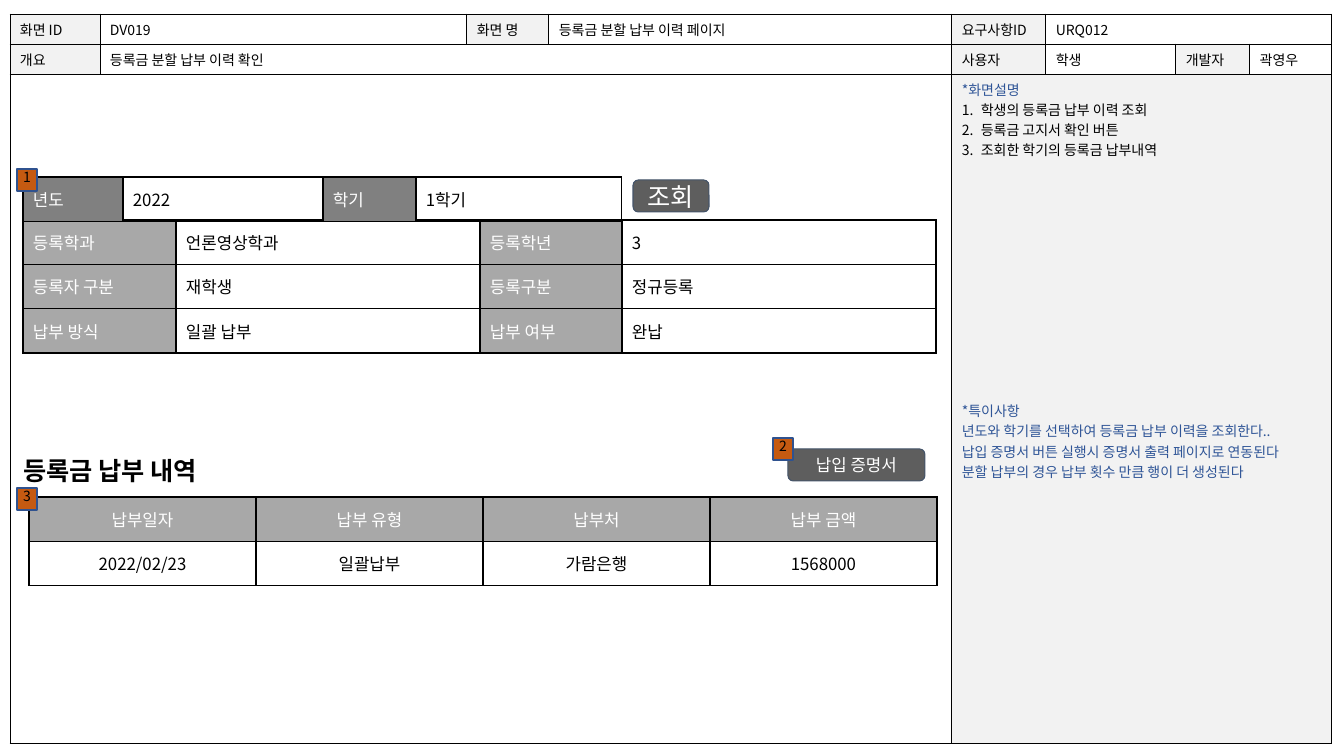
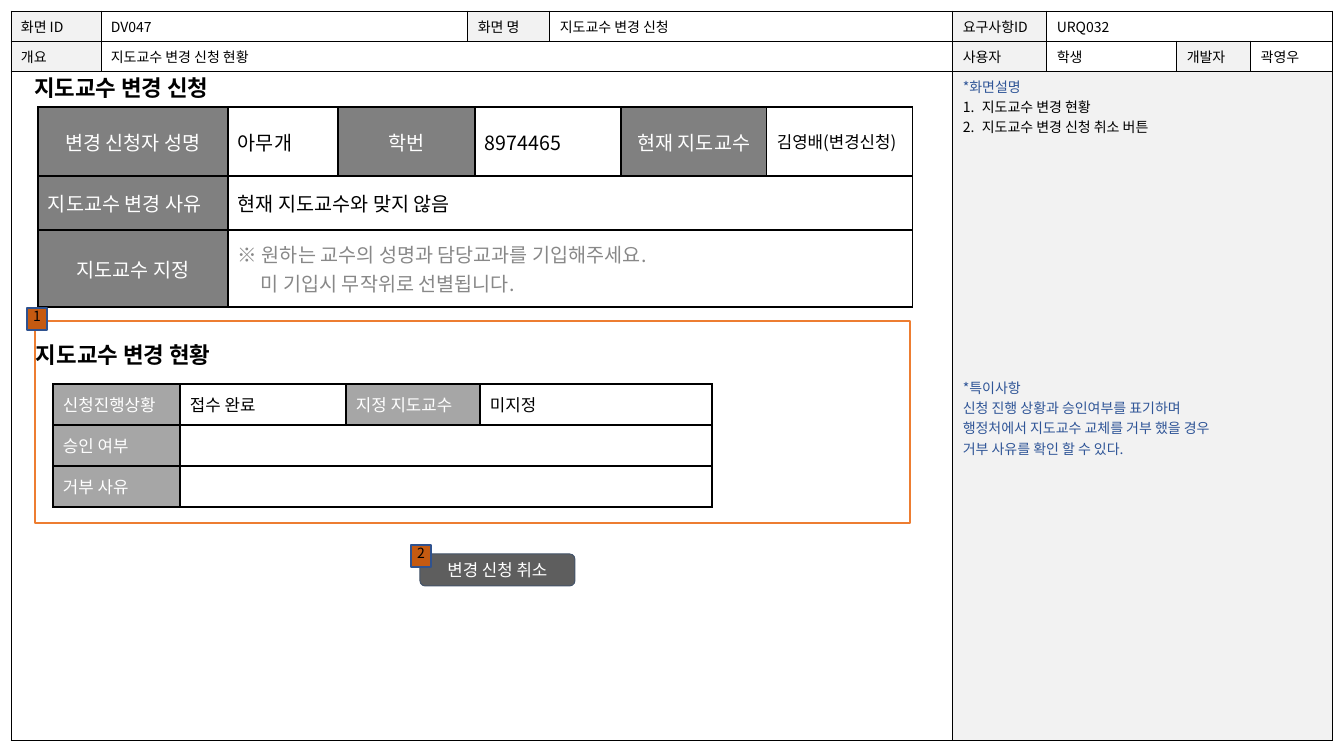
"""Build two screen-specification slides for a university portal."""
from dataclasses import dataclass
from typing import Optional

from lxml import etree
from pptx import Presentation
from pptx.dml import color
from pptx.enum import shapes, text
from pptx.oxml import ns
from pptx.util import Emu, Pt

EMU_PER_PX = 914400 / 100.8
FONT = "Noto Sans CJK KR"
COLOURS = {
    "black": "000000", "white": "FFFFFF", "panel": "F2F2F2", "note": "2F5597",
    "dark": "808080", "mid": "A8A8A8", "soft": "A6A6A6", "hint": "888888",
    "button": "5E5E5E", "button_line": "44546A",
    "marker": "C55A11", "marker_line": "2F528F", "outline": "ED7D31",
}
LEFT, CENTER = text.PP_ALIGN.LEFT, text.PP_ALIGN.CENTER
TOP, MIDDLE = text.MSO_ANCHOR.TOP, text.MSO_ANCHOR.MIDDLE
FRAME_COLS = (90, 367, 82, 403, 94, 130, 74, 82)
FRAME_ROWS = (30, 30, 669)
REMARK_GAP = 172


@dataclass(frozen=True)
class Box:
    """A rectangle in px."""
    left: int
    top: int
    width: int
    height: int

    def emu(self) -> tuple:
        return tuple(px(v) for v in (self.left, self.top, self.width, self.height))


@dataclass(frozen=True)
class Para:
    """One paragraph with its colour, spacing and indent."""
    text: str
    colour: str = "black"
    size: Optional[int] = None
    numbered: bool = False
    before: int = 0
    indent: int = 0


@dataclass(frozen=True)
class Cell:
    """One table cell, which may span several columns."""
    paras: tuple = ()
    fill: Optional[str] = None
    align: text.PP_ALIGN = LEFT
    span: int = 1


@dataclass(frozen=True)
class Grid:
    """A table: place, column widths, row heights and looks."""
    left: int
    top: int
    cols: tuple
    rows: tuple
    size: int = 12
    anchor: text.MSO_ANCHOR = TOP
    inset: int = 10
    border: float = 1


@dataclass(frozen=True)
class Screen:
    """What the specification frame says about one screen."""
    left: int
    top: int
    code: str
    name: str
    summary: str
    request: str
    steps: tuple
    remarks: tuple


def px(value: float) -> Emu:
    """Turn px into EMU."""
    return Emu(round(value * EMU_PER_PX))


def rgb(name: str) -> color.RGBColor:
    """Look up a colour by name."""
    return color.RGBColor.from_string(COLOURS[name])


def label(words: str, fill: str = "mid", align: text.PP_ALIGN = LEFT) -> Cell:
    """Make a shaded cell with white text."""
    return Cell((Para(words, "white"),), fill, align)


def value(words: str, fill: Optional[str] = None, align: text.PP_ALIGN = LEFT,
          span: int = 1, size: Optional[int] = None) -> Cell:
    """Make a cell with black text."""
    return Cell((Para(words, size=size),), fill, align, span)


def pairs(*words: str, fill: str = "mid") -> list:
    """Make a row of alternating labels and values."""
    return [value(w) if i % 2 else label(w, fill) for i, w in enumerate(words)]


def write(tf, paras: tuple, size: int, align: text.PP_ALIGN = LEFT, bold: bool = False) -> None:
    """Fill a text frame with formatted paragraphs."""
    tf.text = "\n".join(para.text for para in paras)
    for p, para in zip(tf.paragraphs, paras):
        p.alignment = align
        if para.before:
            p.space_before = Pt(para.before)
        pPr = p._p.get_or_add_pPr()
        if para.indent:
            pPr.set("marL", str(px(para.indent)))
        if para.numbered:
            pPr.set("indent", str(-px(para.indent)))
            etree.SubElement(pPr, ns.qn("a:buAutoNum"), type="arabicPeriod")
        for r in p.runs:
            r.font.size = Pt(para.size or size)
            r.font.bold = bold
            r.font.name = FONT
            r.font.color.rgb = rgb(para.colour)
            etree.SubElement(r._r.get_or_add_rPr(), ns.qn("a:ea"), typeface=FONT)


def set_insets(tf, inset: int) -> None:
    """Give a text frame equal insets."""
    tf.margin_left = tf.margin_right = tf.margin_top = tf.margin_bottom = px(inset)


def style_cell(cell, grid: Grid) -> None:
    """Set insets, borders and empty-text size of a cell."""
    cell.margin_left = cell.margin_right = px(10)
    cell.margin_top = cell.margin_bottom = px(grid.inset)
    cell.vertical_anchor = grid.anchor
    etree.SubElement(cell.text_frame.paragraphs[0]._p, ns.qn("a:endParaRPr"), sz=str(grid.size * 100))
    tcPr = cell._tc.get_or_add_tcPr()
    for side in ("lnL", "lnR", "lnT", "lnB"):
        ln = etree.SubElement(tcPr, ns.qn(f"a:{side}"), w=str(Pt(grid.border)))
        fill = etree.SubElement(ln, ns.qn("a:solidFill"))
        etree.SubElement(fill, ns.qn("a:srgbClr"), val=COLOURS["black"])
    cell.fill.background()


def add_grid(s, grid: Grid, content: list) -> None:
    """Draw a table from rows of cells."""
    box = Box(grid.left, grid.top, sum(grid.cols), sum(grid.rows))
    tbl = s.shapes.add_table(len(grid.rows), len(grid.cols), *box.emu()).table
    tbl.first_row = tbl.horz_banding = False
    for col, width in zip(tbl.columns, grid.cols):
        col.width = px(width)
    for row, height in zip(tbl.rows, grid.rows):
        row.height = px(height)
    for cell in tbl.iter_cells():
        style_cell(cell, grid)
    for i, row in enumerate(content):
        j = 0
        for item in row:
            cell = tbl.cell(i, j)
            if item.span > 1:
                cell.merge(tbl.cell(i, j + item.span - 1))
            if item.fill:
                cell.fill.solid()
                cell.fill.fore_color.rgb = rgb(item.fill)
            if item.paras:
                write(cell.text_frame, item.paras, grid.size, item.align)
            j += item.span


def add_frame(s, screen: Screen) -> None:
    """Draw the specification frame that every slide shares."""
    def head(words: str) -> Cell:
        return value(words, "panel")

    def info(words: str, span: int = 1) -> Cell:
        return value(words, "white", span=span)

    notes = (
        Para("*화면설명", "note"),
        *(Para(step, numbered=True, indent=19) for step in screen.steps),
        Para("*특이사항", "note", before=REMARK_GAP),
        *(Para(remark, "note") for remark in screen.remarks),
    )
    grid = Grid(screen.left, screen.top, FRAME_COLS, FRAME_ROWS, size=10, inset=5, border=0.75)
    add_grid(s, grid, [
        [head("화면 ID"), info(screen.code), head("화면 명"), info(screen.name),
         head("요구사항ID"), info(screen.request, 3)],
        [head("개요"), info(screen.summary, 3), head("사용자"), info("학생"),
         head("개발자"), info("곽영우")],
        [Cell(fill="white", span=4), Cell(notes, "panel", span=4)],
    ])


def add_box(s, kind: shapes.MSO_SHAPE, box: Box, fill: Optional[str], line: str, weight: float):
    """Draw a preset shape with a fill and an outline."""
    sp = s.shapes.add_shape(kind, *box.emu())
    sp.shadow.inherit = False
    if fill:
        sp.fill.solid()
        sp.fill.fore_color.rgb = rgb(fill)
    else:
        sp.fill.background()
    sp.line.color.rgb = rgb(line)
    sp.line.width = Pt(weight)
    return sp


def add_button(s, box: Box, words: str, size: int = 12) -> None:
    """Draw a rounded button."""
    sp = add_box(s, shapes.MSO_SHAPE.ROUNDED_RECTANGLE, box, "button", "button_line", 0.75)
    tf = sp.text_frame
    set_insets(tf, 10)
    tf.vertical_anchor = MIDDLE
    tf.word_wrap = True
    write(tf, (Para(words, "white"),), size, CENTER)


def add_marker(s, left: int, top: int, number: int) -> None:
    """Draw a numbered callout marker."""
    sp = add_box(s, shapes.MSO_SHAPE.RECTANGLE, Box(left, top, 20, 22), "marker", "marker_line", 1)
    tf = sp.text_frame
    set_insets(tf, 0)
    tf.vertical_anchor = TOP
    write(tf, (Para(str(number)),), 10, CENTER)


def set_heading(sp, box: Box, words: str, size: int) -> None:
    """Place and format a bold heading."""
    sp.left, sp.top, sp.width, sp.height = box.emu()
    tf = sp.text_frame
    set_insets(tf, 0)
    tf.auto_size = text.MSO_AUTO_SIZE.NONE
    tf.vertical_anchor = MIDDLE
    tf.word_wrap = True
    write(tf, (Para(words),), size, bold=True)


def add_screen(prs, screen: Screen, box: Box, title: str, size: int):
    """Add a slide with its frame and its title above the frame."""
    s = prs.slides.add_slide(prs.slide_layouts[5])
    add_frame(s, screen)
    set_heading(s.shapes.title, box, title, size)
    s.shapes.element.append(s.shapes.title.element)
    return s


def build_payment(prs) -> None:
    """Build the tuition payment history slide."""
    s = add_screen(prs, Screen(
        10, 14, "DV019", "등록금 분할 납부 이력 페이지", "등록금 분할 납부 이력 확인", "URQ012",
        ("학생의 등록금 납부 이력 조회", "등록금 고지서 확인 버튼", "조회한 학기의 등록금 납부내역"),
        ("년도와 학기를 선택하여 등록금 납부 이력을 조회한다..",
         "납입 증명서 버튼 실행시 증명서 출력 페이지로 연동된다",
         "분할 납부의 경우 납부 횟수 만큼 행이 더 생성된다"),
    ), Box(23, 450, 417, 41), "등록금 납부 내역", 18)
    add_grid(s, Grid(23, 220, (153, 304, 142, 314), (44,) * 3), [
        pairs("등록학과", "언론영상학과", "등록학년", "3"),
        pairs("등록자 구분", "재학생", "등록구분", "정규등록"),
        pairs("납부 방식", "일괄 납부", "납부 여부", "완납"),
    ])
    add_grid(s, Grid(23, 177, (100, 200, 93, 206), (44,)),
             [pairs("년도", "2022", "학기", "1학기", fill="dark")])
    add_button(s, Box(633, 180, 76, 32), "조회", 18)
    add_button(s, Box(788, 449, 137, 32), "납입 증명서")
    add_grid(s, Grid(29, 497, (227,) * 4, (44,) * 2), [
        [label(w, align=CENTER) for w in ("납부일자", "납부 유형", "납부처", "납부 금액")],
        [value(w, align=CENTER) for w in ("2022/02/23", "일괄납부", "가람은행", "1568000")],
    ])
    for number, (left, top) in enumerate(((17, 169), (773, 438), (17, 488)), 1):
        add_marker(s, left, top, number)


def build_advisor(prs) -> None:
    """Build the advisor change request slide."""
    s = add_screen(prs, Screen(
        11, 11, "DV047", "지도교수 변경 신청", "지도교수 변경 신청 현황", "URQ032",
        ("지도교수 변경 현황", "지도교수 변경 신청 취소 버튼"),
        ("신청 진행 상황과 승인여부를 표기하며", "행정처에서 지도교수 교체를 거부 했을 경우",
         "거부 사유를 확인 할 수 있다."),
    ), Box(34, 67, 208, 41), "지도교수 변경 신청", 16)
    add_box(s, shapes.MSO_SHAPE.RECTANGLE, Box(35, 321, 875, 202), None, "outline", 1.5)
    hints = (Para("※ 원하는 교수의 성명과 담당교과를 기입해주세요.", "hint"),
             Para("미 기입시 무작위로 선별됩니다.", "hint", indent=23))
    add_grid(s, Grid(38, 107, (190, 110, 137, 146, 146, 146), (69, 54, 77), 14, MIDDLE), [
        [label("변경 신청자 성명", "dark", CENTER), value("아무개"), label("학번", "dark", CENTER),
         value("8974465"), label("현재 지도교수", "dark", CENTER), value("김영배(변경신청)", size=12)],
        [label("지도교수 변경 사유", "dark"), value("현재 지도교수와 맞지 않음", "white", span=5)],
        [label("지도교수 지정", "dark", CENTER), Cell(hints, "white", span=5)],
    ])
    add_button(s, Box(420, 554, 155, 32), "변경 신청 취소")
    for number, (left, top) in enumerate(((27, 308), (411, 545)), 1):
        add_marker(s, left, top, number)
    status = Box(36, 334, 222, 41)
    set_heading(s.shapes.add_textbox(*status.emu()), status, "지도교수 변경 현황", 16)
    add_grid(s, Grid(53, 384, (127, 166, 134, 232), (41,) * 3, 12, MIDDLE, 5), [
        pairs("신청진행상황", "접수 완료", "지정 지도교수", "미지정", fill="soft"),
        *([label(w, "soft"), Cell(fill="white", span=3)] for w in ("승인 여부", "거부 사유")),
    ])


def main() -> None:
    """Build and save the presentation."""
    prs = Presentation()
    prs.slide_width, prs.slide_height = px(1344), px(756)
    build_payment(prs)
    build_advisor(prs)
    prs.save("out.pptx")


if __name__ == "__main__":
    main()
